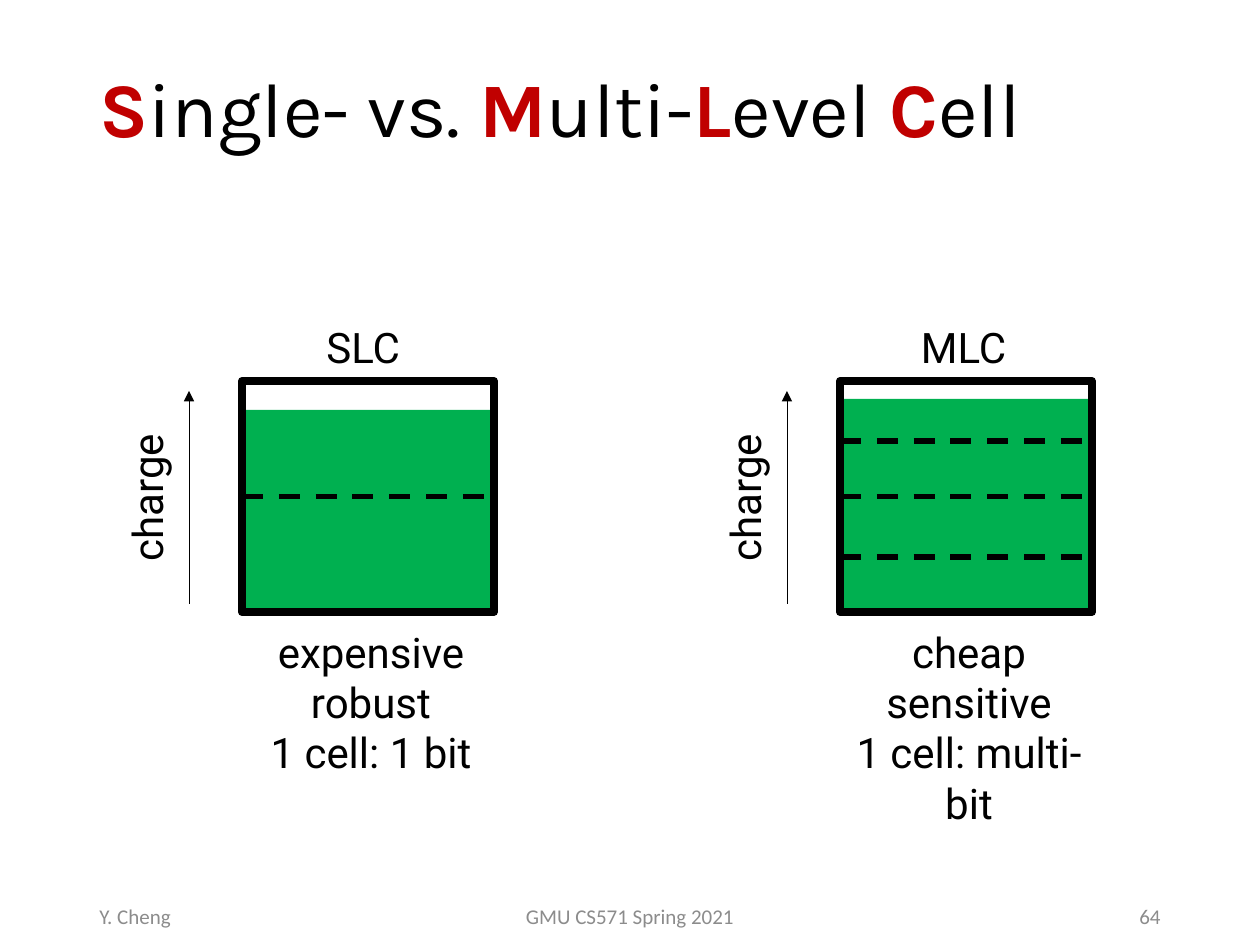
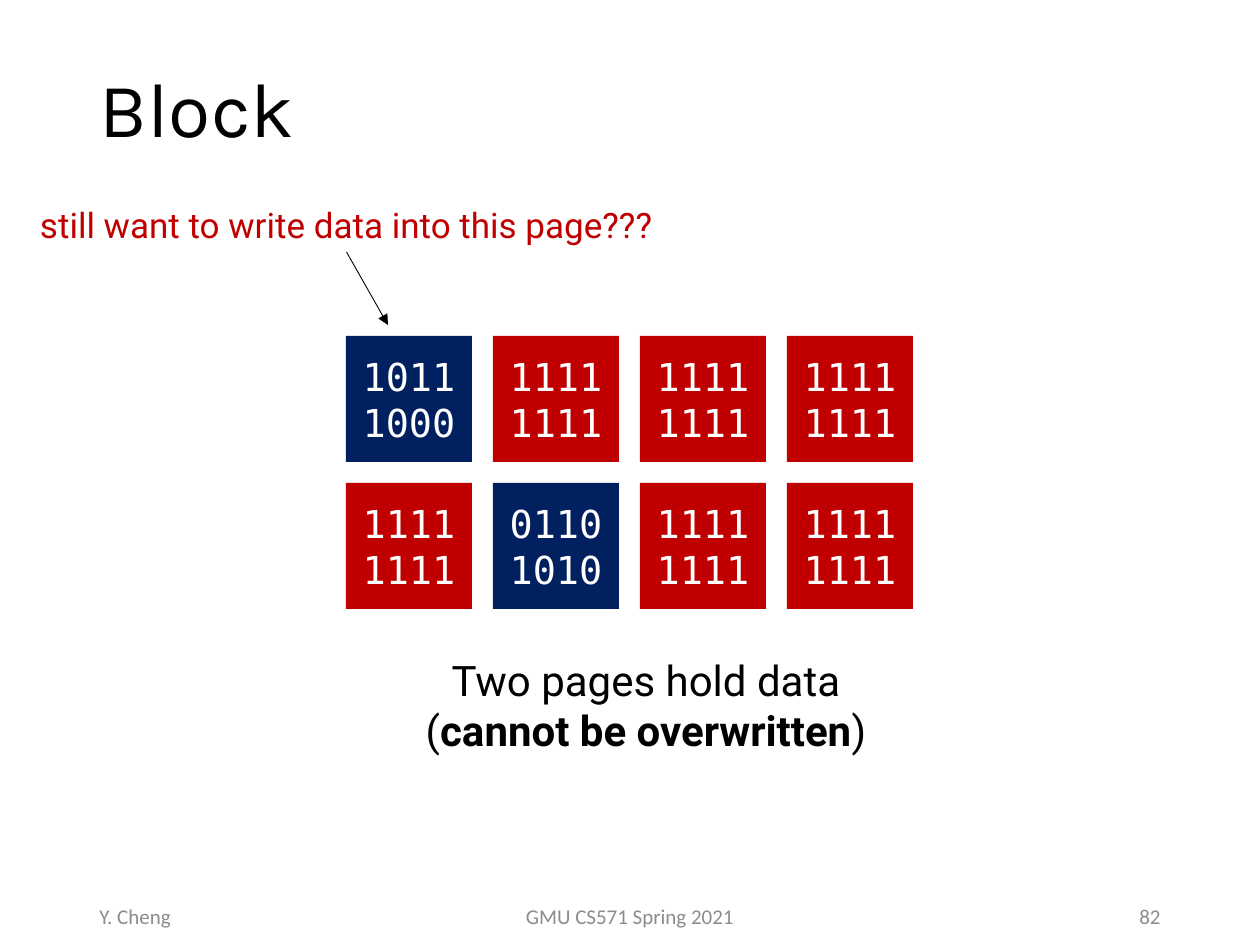
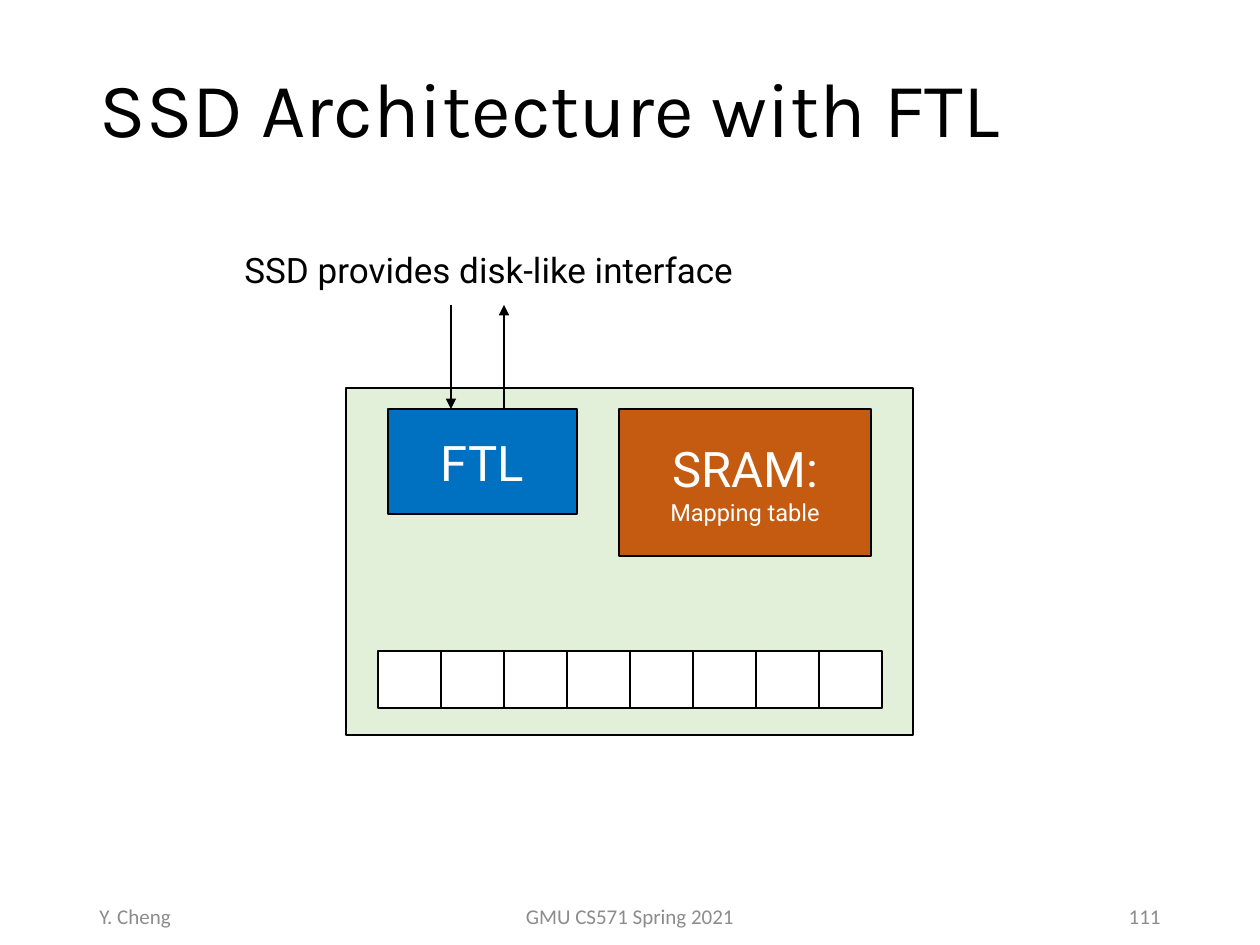
from lxml import etree
from pptx import Presentation
from pptx.dml.color import RGBColor
from pptx.enum.dml import MSO_LINE
from pptx.enum.shapes import MSO_CONNECTOR, MSO_SHAPE
from pptx.enum.text import MSO_ANCHOR as Anchor, MSO_AUTO_SIZE as AutoSize, PP_ALIGN as Align
from pptx.oxml.ns import qn
from pptx.util import Emu, Pt

PX_PER_INCH = 126
BLACK = RGBColor(0x00, 0x00, 0x00)
WHITE = RGBColor(0xFF, 0xFF, 0xFF)
GRAY = RGBColor(0x8C, 0x8C, 0x8C)
RED = RGBColor(0xC0, 0x00, 0x00)
NAVY = RGBColor(0x00, 0x20, 0x60)
GREEN = RGBColor(0x00, 0xB0, 0x50)
PALE_GREEN = RGBColor(0xE2, 0xF0, 0xD9)
BLUE = RGBColor(0x00, 0x70, 0xC0)
ORANGE = RGBColor(0xC5, 0x5A, 0x11)
TITLE_FONT, BODY_FONT, BIT_FONT, FOOTER_FONT = "Karla", "Roboto", "DejaVu Sans Mono", "Calibri"
TITLE_BOX = (87, 21, 1086, 183)
ERASED = "1111 1111"


def px(length):
    """Turn pixels into EMU."""
    return Emu(round(length * 914400 / PX_PER_INCH))


def add_run(para, text, size, font=BODY_FONT, color=BLACK, bold=False):
    """Append one formatted run to a paragraph."""
    span = para.add_run()
    span.text = text
    span.font.size = Pt(size)
    span.font.name = font
    span.font.color.rgb = color
    span.font.bold = bold


def write(frame, lines, size, font=BODY_FONT, color=BLACK, align=Align.LEFT):
    """Fill a text frame, one paragraph per line; a line is a text or a list of (text, changes)."""
    for index, line in enumerate(lines):
        para = frame.paragraphs[0] if index == 0 else frame.add_paragraph()
        para.alignment = align
        for text, changes in [(line, {})] if isinstance(line, str) else line:
            add_run(para, text, **{"size": size, "font": font, "color": color, **changes})


def add_text(page, box, lines, size, wrap=False, anchor=Anchor.TOP, fit=True, **style):
    """Add a text box."""
    label = page.shapes.add_textbox(*map(px, box))
    frame = label.text_frame
    frame.word_wrap = wrap
    frame.vertical_anchor = anchor
    frame.auto_size = AutoSize.SHAPE_TO_FIT_TEXT if fit else AutoSize.NONE
    write(frame, lines, size, **style)
    return label


def add_rect(page, box, fill=None, line_width=0, lines=(), size=22, font=BODY_FONT):
    """Add a rectangle with optional fill, black outline and white centred text."""
    rect = page.shapes.add_shape(MSO_SHAPE.RECTANGLE, *map(px, box))
    rect.shadow.inherit = False
    if fill is None:
        rect.fill.background()
    else:
        rect.fill.solid()
        rect.fill.fore_color.rgb = fill
    if line_width:
        rect.line.color.rgb = BLACK
        rect.line.width = Pt(line_width)
    else:
        rect.line.fill.background()
    rect.text_frame.vertical_anchor = Anchor.MIDDLE
    write(rect.text_frame, lines, size, font, WHITE, Align.CENTER)
    return rect


def add_line(page, start, end, width, arrow=False, dashed=False):
    """Add a straight black connector."""
    line = page.shapes.add_connector(MSO_CONNECTOR.STRAIGHT, *map(px, (*start, *end)))
    line.line.color.rgb = BLACK
    line.line.width = Pt(width)
    if dashed:
        line.line.dash_style = MSO_LINE.DASH
    if arrow:
        etree.SubElement(line.line._get_or_add_ln(), qn("a:tailEnd"), type="triangle")
    etree.SubElement(line._element.spPr, qn("a:effectLst"))
    return line


def add_page(deck, title, number):
    """Add a title-only slide with its title and footers."""
    page = deck.slides.add_slide(deck.slide_layouts[5])
    holder = page.shapes.title
    holder.left, holder.top, holder.width, holder.height = map(px, TITLE_BOX)
    frame = holder.text_frame
    frame.vertical_anchor = Anchor.MIDDLE
    frame.auto_size = AutoSize.NONE
    write(frame, [title], 44, TITLE_FONT)
    frame.paragraphs[0].line_spacing = 0.9
    for left, width, text, align in (
        (417, 426, "GMU CS571 Spring 2021", Align.CENTER),
        (87, 283, "Y. Cheng", Align.LEFT),
        (890, 283, str(number), Align.RIGHT),
    ):
        add_text(page, (left, 891, width, 50), [text], 12, wrap=True, anchor=Anchor.MIDDLE,
                 fit=False, font=FOOTER_FONT, color=GRAY, align=align)
    return page


def draw_cell(page, box, name, name_width, empty, levels, notes, notes_width):
    """Draw a flash cell with its charge, thresholds, name and notes."""
    left, top, width, height = box
    center = left + width / 2
    add_rect(page, (left, top + empty, width, height - empty), GREEN)
    wall = add_rect(page, box, line_width=4.5)
    for level in levels:
        y = top + level
        threshold = add_line(page, (left, y), (left + width, y), 3, dashed=True)
        if level == height // 2:
            threshold.begin_connect(wall, 1)
            threshold.end_connect(wall, 3)
    add_text(page, (center - name_width / 2, top - 66, name_width, 63), [name], 24)
    add_line(page, (left - 53, top + 223), (left - 53, top + 10), 0.5, arrow=True)
    charge = add_text(page, (left - 173, top + 84, 155, 63), ["charge"], 24)
    charge.rotation = 270
    add_text(page, (center + 3 - notes_width / 2, top + 239, notes_width, 165), notes, 24,
             align=Align.CENTER)


def draw_block(page, left, top, pages, columns=4, size=126, step=147):
    """Draw the grid of flash pages; pages that hold data are navy."""
    for index, bits in enumerate(pages):
        row, column = divmod(index, columns)
        add_rect(page, (left + column * step, top + row * step, size, size),
                 RED if bits == ERASED else NAVY, lines=bits.split(), font=BIT_FONT)


def draw_device(page, box, cells=8, cell_width=63):
    """Draw the SSD with its FTL, SRAM, row of cells and interface arrows."""
    left, top = box[:2]
    add_rect(page, box, PALE_GREEN, 1)
    add_rect(page, (left + 42, top + 21, 189, 105), BLUE, 1, ["FTL"], 28)
    add_rect(page, (left + 273, top + 21, 252, 147), ORANGE, 1,
             ["SRAM:", [("Mapping table", {"size": 13.5})]], 28)
    for index in range(cells):
        add_rect(page, (left + 32 + index * cell_width, top + 263, cell_width, 57), WHITE, 1)
    add_text(page, (left - 114, top - 146, 524, 55), ["SSD provides disk-like interface"], 20)
    add_line(page, (left + 105, top - 83), (left + 105, top + 21), 1.5, arrow=True)
    add_line(page, (left + 158, top + 21), (left + 158, top - 83), 1.5, arrow=True)


def build_cells(deck):
    """Build the slide comparing cell types."""
    initial = {"color": RED, "bold": True}
    title = [("S", initial), ("ingle- vs. ", {}), ("M", initial), ("ulti-", {}),
             ("L", initial), ("evel ", {}), ("C", initial), ("ell", {})]
    page = add_page(deck, title, 64)
    draw_cell(page, (840, 381, 252, 231), "MLC", 115, 18, (60, 115, 176),
              ["cheap", "sensitive", "1 cell: multi-bit"], 296)
    draw_cell(page, (242, 381, 252, 231), "SLC", 108, 29, (115,),
              ["expensive", "robust", "1 cell: 1 bit"], 228)


def build_block(deck):
    """Build the slide on overwriting a page in a block."""
    page = add_page(deck, "Block", 82)
    draw_block(page, 346, 336, ["1011 1000", *[ERASED] * 4, "0110 1010", *[ERASED] * 2])
    question = add_text(page, (0, 197, 693, 55), ["still want to write data into this page???"], 20,
                        wrap=True, color=RED, align=Align.CENTER)
    pointer = add_line(page, (346, 252), (388, 325), 0.5, arrow=True)
    pointer.begin_connect(question, 2)
    caption = [("Two pages hold data (", {}), ("cannot be overwritten", {"bold": True}), (")", {})]
    add_text(page, (399, 648, 494, 115), [caption], 24, wrap=True, align=Align.CENTER)


def build_architecture(deck):
    """Build the slide on SSD architecture."""
    page = add_page(deck, "SSD Architecture with FTL", 111)
    draw_device(page, (346, 388, 567, 347))


def main():
    """Build and save the deck."""
    deck = Presentation()
    deck.slide_width, deck.slide_height = px(1260), px(945)
    for build in (build_cells, build_block, build_architecture):
        build(deck)
    deck.save("out.pptx")


if __name__ == "__main__":
    main()
